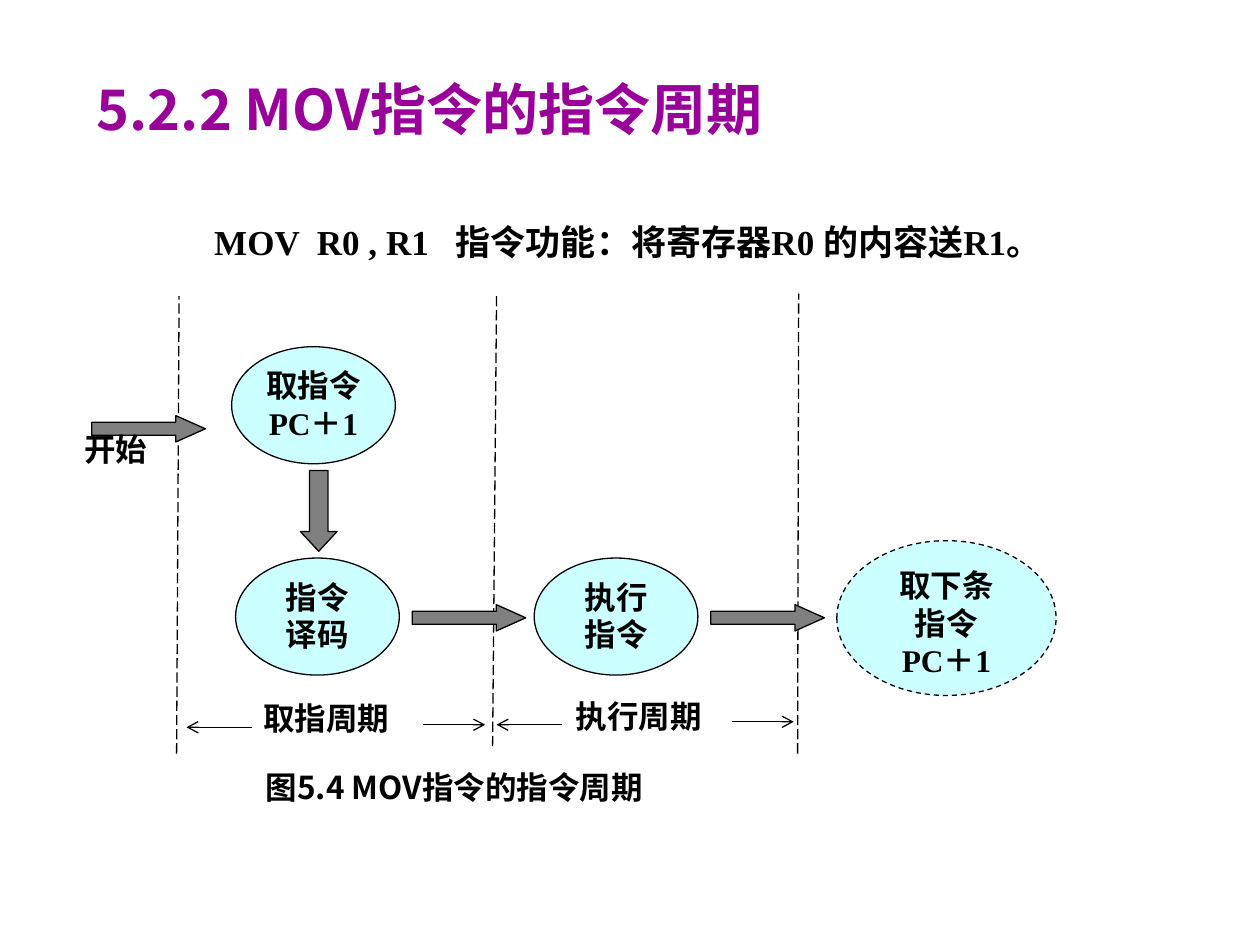
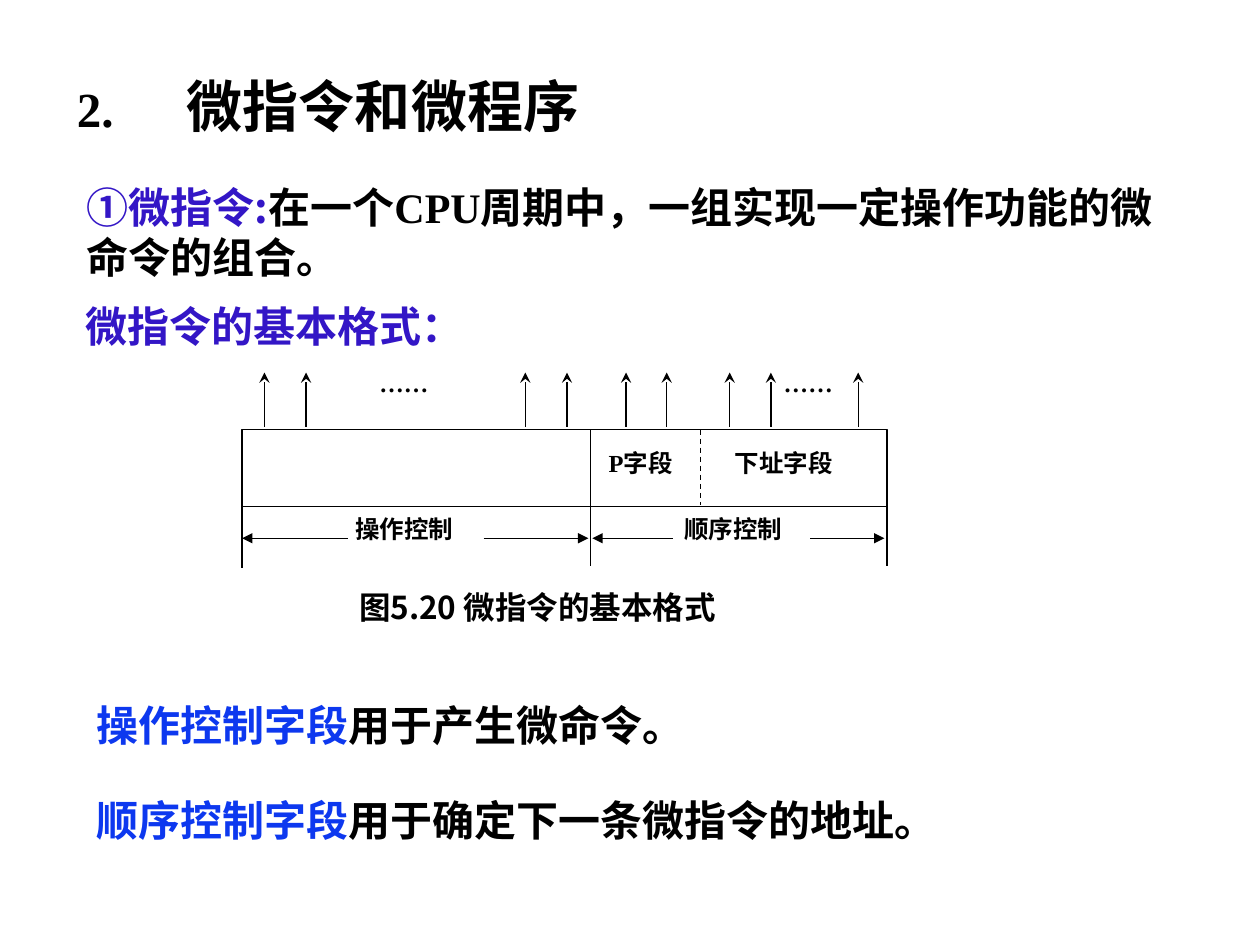
"""Build two slides on the MOV instruction cycle and the microinstruction format."""
from lxml import etree
from pptx import Presentation
from pptx import util as u
from pptx.dml.color import RGBColor
from pptx.enum import dml, shapes, text
from pptx.oxml import ns

THEME = {
    "colors": {"ink": "000000", "title": "990099", "term": "3316C6", "field": "0D38EF",
               "node": "CCFFFF", "arrow": "808080", "paper": "FFFFFF"},
    "sizes": {"title": 32, "number": 28, "body": 24, "statement": 20, "label": 18, "small": 14},
    "sans": "Noto Sans CJK SC",
    "serif": "Times New Roman",
    "line": 0.75,
}
SANS, SERIF = THEME["sans"], THEME["serif"]
SOLID, DASH, LONG_DASH = None, dml.MSO_LINE.DASH, dml.MSO_LINE.LONG_DASH
FLUSH = (0, 0, 0, 0)
PADDED = (0.25, 0.13, 0.25, 0.13)

CYCLE_TITLE = "5.2.2 MOV指令的指令周期"
CYCLE_STATEMENT = "MOV\tR0 , R1\t指令功能：将寄存器R0 的内容送R1。"
STATEMENT_TABS = (2.07, 4.87)
CYCLE_NODES = [
    ((4.67, 6.99, 3.3, 2.36), ["取指令", "PC＋1"], SOLID),
    ((4.75, 11.25, 3.3, 2.36), ["指令", "译码"], SOLID),
    ((10.77, 11.25, 3.3, 2.36), ["执行", "指令"], SOLID),
    ((16.87, 10.9, 4.42, 3.12), ["取下条", "指令", "PC＋1"], DASH),
]
CYCLE_DIVIDERS = [
    (3.56, 15.19, 3.61, 5.97),
    (9.93, 15.04, 10.01, 5.97),
    (16.08, 15.19, 16.1, 5.92),
]
BLOCK_ARROWS = [
    ((8.31, 12.19, 2.29, 0.53), 1.12, 0),
    ((14.33, 12.19, 2.29, 0.53), 1.12, 0),
    ((1.85, 8.38, 2.29, 0.53), 1.12, 0),
    ((5.61, 9.93, 1.63, 0.74), 0.54, 90),
]
CYCLE_LABELS = [
    ((1.7, 8.66, 1.7, 1.09), "开始", SERIF),
    ((5.31, 14.1, 3.07, 0.99), "取指周期", SERIF),
    ((11.61, 14.05, 3.07, 0.99), "执行周期", SERIF),
    ((5.36, 15.49, 11.23, 1.19), "图5.4 MOV指令的指令周期", SANS),
]
CYCLE_SPANS = [
    (14.76, 16, 14.55),
    (11.33, 10.01, 14.61),
    (8.53, 9.78, 14.61),
    (5.08, 3.76, 14.66),
]

FORMAT_HEADING = [("2.", "number", SERIF, "ink"), ("\t微指令和微程序", "title", SANS, "ink")]
HEADING_INDENT = 2.22
FORMAT_TEXTS = [
    ((1.5, 3.53, 22.2, 2.29), [
        ("①微指令:", "body", SANS, "term"),
        ("在一个", "body", SANS, "ink"),
        ("CPU", "body", SERIF, "ink"),
        ("周期中，一组实现一定操作功能的微命令的组合。", "body", SANS, "ink")]),
    ((1.47, 5.92, 15.04, 1.27), [("微指令的基本格式：", "body", SANS, "term")]),
    ((1.7, 13.97, 20.52, 1.27), [
        ("操作控制字段", "body", SANS, "field"), ("用于产生微命令。", "body", SANS, "ink")]),
    ((1.7, 15.88, 18.52, 1.27), [
        ("顺序控制字段", "body", SANS, "field"), ("用于确定下一条微指令的地址。", "body", SANS, "ink")]),
]
WORD_BOX = (4.88, 8.66, 13, 1.55)
WORD_RULES = [
    (14.12, 8.66, 10.19, DASH),
    (11.91, 8.66, 11.4, SOLID),
    (4.88, 10.19, 11.46, SOLID),
    (17.88, 10.19, 11.4, SOLID),
]
WORD_LABELS = [
    ((12.27, 9.04, 1.75, 1.4), "P字段"),
    ((14.81, 9.04, 2.46, 1.4), "下址字段"),
    ((7.16, 10.36, 2.62, 1.4), "操作控制"),
    ((13.79, 10.36, 2.62, 1.4), "顺序控制"),
    ((15.8, 7.42, 1.32, 1.4), "……"),
    ((7.65, 7.42, 1.27, 1.2), "……"),
]
WORD_SPANS = [(9.75, 11.86), (7.01, 4.88), (16.33, 17.83), (13.56, 11.94)]
SPAN_Y = 10.85
SIGNAL_XS = [5.33, 6.17, 10.59, 11.43, 12.62, 13.44, 14.71, 15.54, 17.3]
SIGNAL_BOTTOM, SIGNAL_TOP = 8.6, 7.51
FORMAT_CAPTION = ((7.24, 11.86, 8.94, 1.75), "图5.20 微指令的基本格式")


def lengths(values):
    return [u.Cm(value) for value in values]


def color(name):
    return RGBColor.from_string(THEME["colors"][name])


def apply(target, formats):
    for name, value in formats.items():
        setattr(target, name, value)


def add_run(paragraph, content, size, font, ink):
    run = paragraph.add_run()
    run.text = content
    apply(run.font, {"size": u.Pt(THEME["sizes"][size]), "name": font, "bold": True})
    run.font.color.rgb = color(ink)
    latin = run.font._element.find(ns.qn("a:latin"))
    east_asian = etree.Element(ns.qn("a:ea"), typeface=SANS)
    latin.addnext(east_asian)


def fill_text(shape, paragraphs, insets, align=text.PP_ALIGN.LEFT, anchor=text.MSO_ANCHOR.TOP):
    frame = shape.text_frame
    sides = ("margin_left", "margin_top", "margin_right", "margin_bottom")
    apply(frame, dict(zip(sides, lengths(insets)), word_wrap=True, vertical_anchor=anchor))
    for index, runs in enumerate(paragraphs):
        paragraph = frame.add_paragraph() if index else frame.paragraphs[0]
        paragraph.alignment = align
        for run in runs:
            add_run(paragraph, *run)
    return frame.paragraphs[0]


def add_text(slide, box, runs, insets=PADDED, **options):
    shape = slide.shapes.add_textbox(*lengths(box))
    return fill_text(shape, [runs], insets, **options)


def add_outlined(slide, kind, box, fill, dash=SOLID):
    shape = slide.shapes.add_shape(kind, *lengths(box))
    shape.shadow.inherit = False
    shape.fill.solid()
    shape.fill.fore_color.rgb = color(fill)
    style_line(shape.line, dash)
    return shape


def style_line(line, dash):
    line.color.rgb = color("ink")
    apply(line, {"width": u.Pt(THEME["line"]), "dash_style": dash})


def add_line(slide, ends, dash=SOLID, head=None):
    connector = slide.shapes.add_connector(shapes.MSO_CONNECTOR.STRAIGHT, *lengths(ends))
    style_line(connector.line, dash)
    properties = connector._element.spPr
    if head:
        outline = properties.find(ns.qn("a:ln"))
        etree.SubElement(outline, ns.qn("a:tailEnd"), type=head)
    etree.SubElement(properties, ns.qn("a:effectLst"))


def set_tabs(paragraph, positions):
    tab_list = etree.SubElement(paragraph._p.get_or_add_pPr(), ns.qn("a:tabLst"))
    for position in positions:
        etree.SubElement(tab_list, ns.qn("a:tab"), pos=str(int(u.Cm(position))), algn="l")


def build_cycle(slide):
    add_text(slide, (1.7, 0.64, 21.59, 2.34), [(CYCLE_TITLE, "title", SANS, "title")],
             anchor=text.MSO_ANCHOR.BOTTOM)
    statement = add_text(slide, (4.07, 4.32, 19, 1.09),
                         [(CYCLE_STATEMENT, "statement", SERIF, "ink")])
    set_tabs(statement, STATEMENT_TABS)
    for box, rows, dash in CYCLE_NODES:
        node = add_outlined(slide, shapes.MSO_SHAPE.OVAL, box, "node", dash)
        fill_text(node, [[(row, "label", SERIF, "ink")] for row in rows],
                  (0, 0.05, 0, 0), align=text.PP_ALIGN.CENTER)
    for ends in CYCLE_DIVIDERS:
        add_line(slide, ends, LONG_DASH)
    for box, head_ratio, rotation in BLOCK_ARROWS:
        arrow = add_outlined(slide, shapes.MSO_SHAPE.RIGHT_ARROW, box, "arrow")
        arrow.adjustments[1] = head_ratio
        arrow.rotation = rotation
    for box, label, font in CYCLE_LABELS:
        add_text(slide, box, [(label, "label", font, "ink")], FLUSH)
    for start, end, y in CYCLE_SPANS:
        add_line(slide, (start, y, end, y), head="arrow")


def build_format(slide):
    heading = add_text(slide, (1.3, 1.32, 21.59, 11.43), FORMAT_HEADING)
    indent = int(u.Cm(HEADING_INDENT))
    for name, value in {"marL": indent, "indent": -indent}.items():
        heading._p.get_or_add_pPr().set(name, str(value))
    for box, runs in FORMAT_TEXTS:
        add_text(slide, box, runs)
    add_outlined(slide, shapes.MSO_SHAPE.RECTANGLE, WORD_BOX, "paper")
    for x, top, bottom, dash in WORD_RULES:
        add_line(slide, (x, top, x, bottom), dash)
    for box, label in WORD_LABELS:
        add_text(slide, box, [(label, "small", SERIF, "ink")], FLUSH)
    for start, end in WORD_SPANS:
        add_line(slide, (start, SPAN_Y, end, SPAN_Y), head="triangle")
    for x in SIGNAL_XS:
        add_line(slide, (x, SIGNAL_BOTTOM, x, SIGNAL_TOP), head="stealth")
    box, caption = FORMAT_CAPTION
    add_text(slide, box, [(caption, "label", SANS, "ink")], FLUSH)


def main():
    presentation = Presentation()
    apply(presentation, {"slide_width": u.Cm(25.4), "slide_height": u.Cm(19.05)})
    for build in (build_cycle, build_format):
        build(presentation.slides.add_slide(presentation.slide_layouts[6]))
    presentation.save("out.pptx")


if __name__ == "__main__":
    main()
